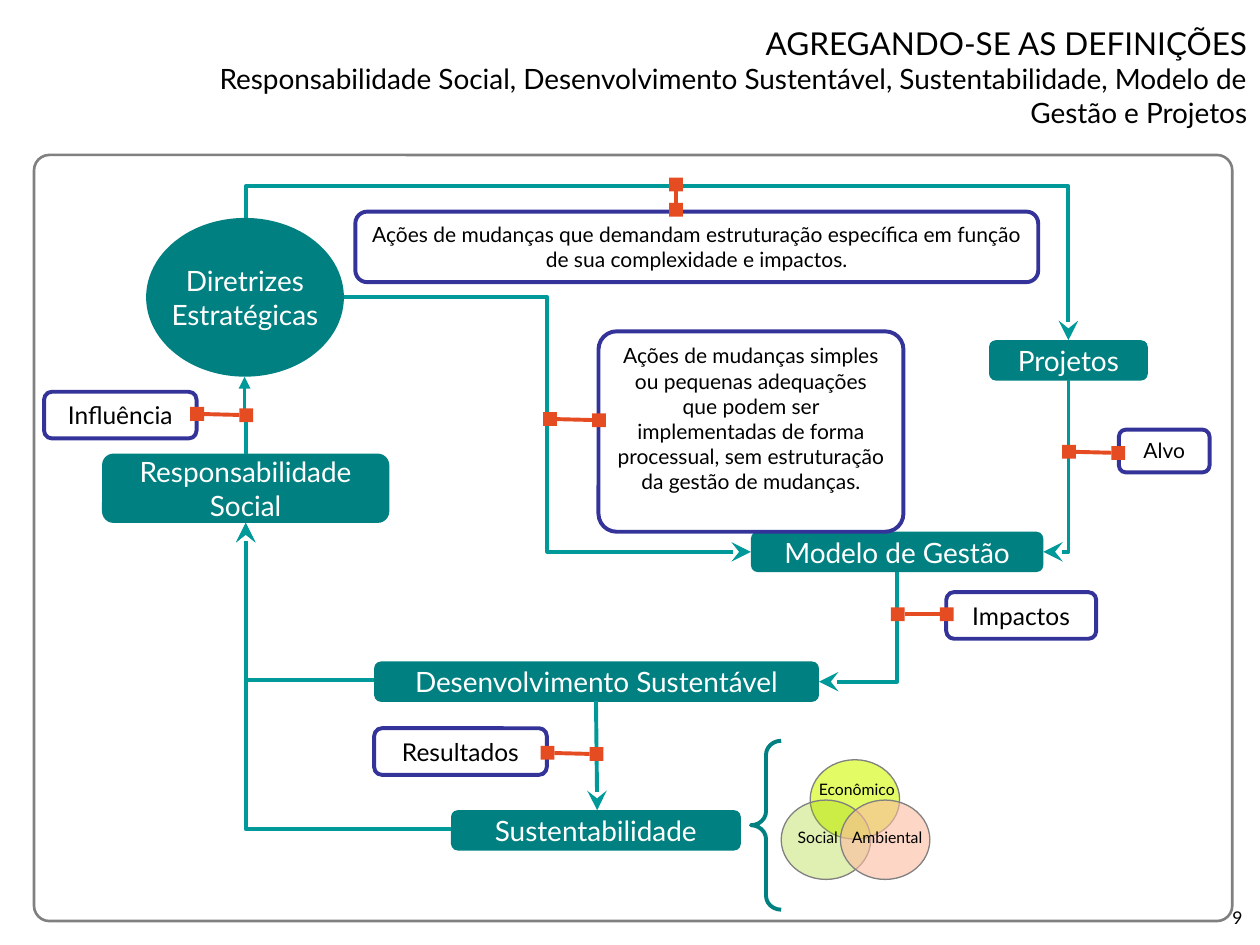
from dataclasses import dataclass
from math import hypot

from lxml.etree import SubElement
from pptx import Presentation
from pptx.dml.color import RGBColor
from pptx.enum.shapes import MSO_CONNECTOR as Connector, MSO_SHAPE as Shape
from pptx.enum.text import MSO_ANCHOR as Anchor, MSO_AUTO_SIZE as AutoSize, PP_ALIGN as Align
from pptx.oxml.ns import qn
from pptx.util import Inches, Pt


@dataclass(frozen=True)
class Theme:
    font: str = "Lato"
    black: str = "000000"
    white: str = "FFFFFF"
    gray: str = "808080"
    node: str = "008080"
    flow: str = "009999"
    callout: str = "333399"
    marker: str = "E64C22"
    economic: str = "DCFB3F"
    social: str = "99CC00"
    environmental: str = "FDBBA1"
    title_size: float = 18
    node_size: float = 16
    label_size: float = 14
    note_size: float = 12
    page_size: float = 10
    circle_size: float = 9
    thick: float = 2.25
    medium: float = 1.5
    thin: float = 0.75


MARKER = 0.11


def apply(target, values):
    for name, value in values.items():
        setattr(target, name, value)


def inches(values):
    return [Inches(value) for value in values]


class DiagramSlide:
    """Holds the theme and the slide being filled."""

    def __init__(self, slide, theme):
        self.slide, self.theme = slide, theme

    def font(self, font, size, color):
        apply(font, {"name": self.theme.font, "size": Pt(size), "bold": False})
        font.color.rgb = RGBColor.from_string(color)

    def fill_text(self, shape, text, size, color=None, align=Align.CENTER,
                  anchor=Anchor.TOP, wrap=True):
        frame = shape.text_frame
        apply(frame, {"text": text, "word_wrap": wrap, "vertical_anchor": anchor,
                      "auto_size": AutoSize.NONE})
        for paragraph in frame.paragraphs:
            paragraph.alignment = align
            for run in paragraph.runs:
                self.font(run.font, size, color or self.theme.black)

    def title(self, heading, subtitle, box):
        shape = self.slide.shapes.title
        apply(shape, dict(zip(("left", "top", "width", "height"), inches(box))))
        apply(shape.text_frame, {"word_wrap": True, "vertical_anchor": Anchor.MIDDLE,
                                 "auto_size": AutoSize.NONE})
        paragraph = shape.text_frame.paragraphs[0]
        paragraph.alignment = Align.RIGHT
        for text, size in ((heading, self.theme.title_size), (subtitle, self.theme.node_size)):
            if paragraph.runs:
                paragraph.add_line_break()
            run = paragraph.add_run()
            run.text = text
            self.font(run.font, size, self.theme.black)

    def label(self, text, box, size, align=Align.CENTER, wrap=False):
        shape = self.slide.shapes.add_textbox(*inches(box))
        self.fill_text(shape, text, size, align=align, wrap=wrap)

    def shape(self, kind, box, fill=None, line=None, width=0, corner=None,
              opacity=None, parent=None):
        shape = (parent or self.slide).shapes.add_shape(kind, *inches(box))
        shape.shadow.inherit = False
        if fill:
            shape.fill.solid()
            shape.fill.fore_color.rgb = RGBColor.from_string(fill)
        else:
            shape.fill.background()
        if line:
            shape.line.color.rgb = RGBColor.from_string(line)
            shape.line.width = Pt(width)
        else:
            shape.line.fill.background()
        if corner is not None:
            shape.adjustments[0] = corner
        if opacity is not None:
            color = shape._element.spPr.find(f"{qn('a:solidFill')}/{qn('a:srgbClr')}")
            SubElement(color, qn("a:alpha"), val=str(opacity * 1000))
        return shape

    def node(self, text, box, kind=Shape.ROUNDED_RECTANGLE, wrap=False):
        shape = self.shape(kind, box, self.theme.node)
        self.fill_text(shape, text, self.theme.node_size, self.theme.white,
                       anchor=Anchor.MIDDLE, wrap=wrap)

    def line(self, start, end, color, kind=Connector.STRAIGHT, head=None, tail=None, parent=None):
        connector = (parent or self.slide).shapes.add_connector(kind, *inches((*start, *end)))
        connector.line.color.rgb = RGBColor.from_string(color)
        connector.line.width = Pt(self.theme.thick)
        properties = connector._element.spPr
        outline = properties.find(qn("a:ln"))
        for tag, arrow in (("a:headEnd", head), ("a:tailEnd", tail)):
            if arrow:
                size = "lg" if arrow == "stealth" else "med"
                SubElement(outline, qn(tag), type=arrow, w=size, len=size)
        SubElement(properties, qn("a:effectLst"))
        return connector

    def elbow(self, start, end, rotation, bends=1, middle=None, flip=False,
              head=None, tail="stealth"):
        """Bent flow line; its frame is the one before rotation about the centre."""
        (x1, y1), (x2, y2) = start, end
        width, height = abs(x2 - x1), abs(y2 - y1)
        if rotation % 180:
            width, height = height, width
        left, top = (x1 + x2 - width) / 2, (y1 + y2 - height) / 2
        connector = self.line((left, top), (left + width, top + height), self.theme.flow,
                              Connector.ELBOW, head, tail)
        properties = connector._element.spPr
        frame = properties.find(qn("a:xfrm"))
        frame.set("rot", str(rotation * 60000))
        if flip:
            frame.set("flipH", "1")
        geometry = properties.find(qn("a:prstGeom"))
        geometry.set("prst", f"bentConnector{bends + 1}")
        if middle is not None:
            SubElement(geometry.find(qn("a:avLst")), qn("a:gd"), name="adj1",
                       fmla=f"val {round(middle * 100000)}")

    def callout(self, text, box, size, first, second, corner=None):
        """Framed note tied to a flow by two markers, given by their top left corners."""
        group = self.slide.shapes.add_group_shape()
        note = self.shape(Shape.ROUNDED_RECTANGLE, box, self.theme.white, self.theme.callout,
                          self.theme.thick, corner, parent=group)
        self.fill_text(note, text, size)
        for corner_point in (first, second):
            self.shape(Shape.RECTANGLE, (*corner_point, MARKER, MARKER),
                       self.theme.marker, parent=group)
        (x1, y1), (x2, y2) = [(x + MARKER / 2, y + MARKER / 2) for x, y in (first, second)]
        trim = MARKER / 2 / hypot(x2 - x1, y2 - y1)
        dx, dy = (x2 - x1) * trim, (y2 - y1) * trim
        self.line((x1 + dx, y1 + dy), (x2 - dx, y2 - dy), self.theme.marker, parent=group)


def main():
    presentation = Presentation()
    presentation.slide_width, presentation.slide_height = Inches(10), Inches(7.5)
    theme = Theme()
    diagram = DiagramSlide(presentation.slides.add_slide(presentation.slide_layouts[5]), theme)

    diagram.label("9", (9.49, 7.15, 0.47, 0.22), theme.page_size, Align.RIGHT, wrap=True)
    diagram.shape(Shape.ROUNDED_RECTANGLE, (0.27, 1.23, 9.51, 6.08), theme.white,
                  theme.gray, theme.medium, corner=0.02)
    diagram.title("AGREGANDO-SE AS DEFINIÇÕES",
                  "Responsabilidade Social, Desenvolvimento Sustentável, Sustentabilidade, "
                  "Modelo de Gestão e Projetos", (1.46, 0.21, 8.54, 0.79))

    diagram.node("Responsabilidade Social", (0.81, 3.6, 2.28, 0.55), wrap=True)
    for text, box in (("Desenvolvimento Sustentável", (2.97, 5.25, 3.53, 0.32)),
                      ("Sustentabilidade", (3.58, 6.43, 2.3, 0.32)),
                      ("Modelo de Gestão", (5.96, 4.22, 2.32, 0.32)),
                      ("Projetos", (7.85, 2.7, 1.26, 0.32))):
        diagram.node(text, box)
    diagram.node("Diretrizes\nEstratégicas", (1.16, 1.73, 1.57, 1.26), Shape.OVAL)

    diagram.elbow((8.48, 3.02), (8.28, 4.38), 90)
    diagram.elbow((7.12, 4.54), (6.5, 5.41), 90)
    diagram.line((4.73, 5.56), (4.74, 6.43), theme.flow, tail="stealth")
    diagram.elbow((1.95, 1.73), (8.48, 2.7), 270, bends=2, middle=-0.26, flip=True)
    diagram.elbow((1.94, 2.99), (1.95, 3.6), 270, bends=2, middle=0.5, flip=True,
                  head="triangle", tail=None)
    diagram.elbow((2.73, 2.36), (5.96, 4.38), 0, bends=2, middle=0.5)
    for start in ((2.97, 5.4), (3.58, 6.58)):
        diagram.elbow(start, (1.95, 4.15), 180)

    diagram.shape(Shape.LEFT_BRACE, (5.96, 5.88, 0.24, 1.34), line=theme.node,
                  width=theme.thick, corner=0.46)
    for left, top, color, opacity in ((6.43, 6.03, theme.economic, 80),
                                      (6.2, 6.35, theme.social, 30),
                                      (6.67, 6.35, theme.environmental, 60)):
        diagram.shape(Shape.OVAL, (left, top, 0.71, 0.63), color, theme.gray,
                      theme.thin, opacity=opacity)
    for text, box in (("Econômico", (6.38, 6.14, 0.84, 0.25)),
                      ("Ambiental", (6.64, 6.52, 0.8, 0.25)),
                      ("Social", (6.22, 6.52, 0.54, 0.25))):
        diagram.label(text, box, theme.circle_size)

    diagram.callout("Influência", (0.35, 3.11, 1.21, 0.37), theme.label_size,
                    (1.51, 3.23), (1.9, 3.24))
    diagram.callout("Ações de mudanças que demandam estruturação específica em função "
                    "de sua complexidade e impactos.", (2.82, 1.68, 5.42, 0.56),
                    theme.note_size, (5.31, 1.61), (5.31, 1.41))
    diagram.callout("Ações de mudanças simples ou pequenas adequações que podem ser "
                    "implementadas de forma processual, sem estruturação da gestão de "
                    "mudanças.", (4.75, 2.63, 2.42, 1.59), theme.note_size,
                    (4.31, 3.27), (4.7, 3.28), corner=0.09)
    diagram.callout("Alvo", (8.88, 3.41, 0.72, 0.34), theme.note_size,
                    (8.43, 3.53), (8.82, 3.54))
    diagram.callout("Impactos", (7.51, 4.7, 1.19, 0.37), theme.label_size,
                    (7.07, 4.82), (7.46, 4.82))
    diagram.callout("Resultados", (2.97, 5.78, 1.37, 0.37), theme.label_size,
                    (4.29, 5.92), (4.68, 5.93))

    presentation.save("out.pptx")


if __name__ == "__main__":
    main()
